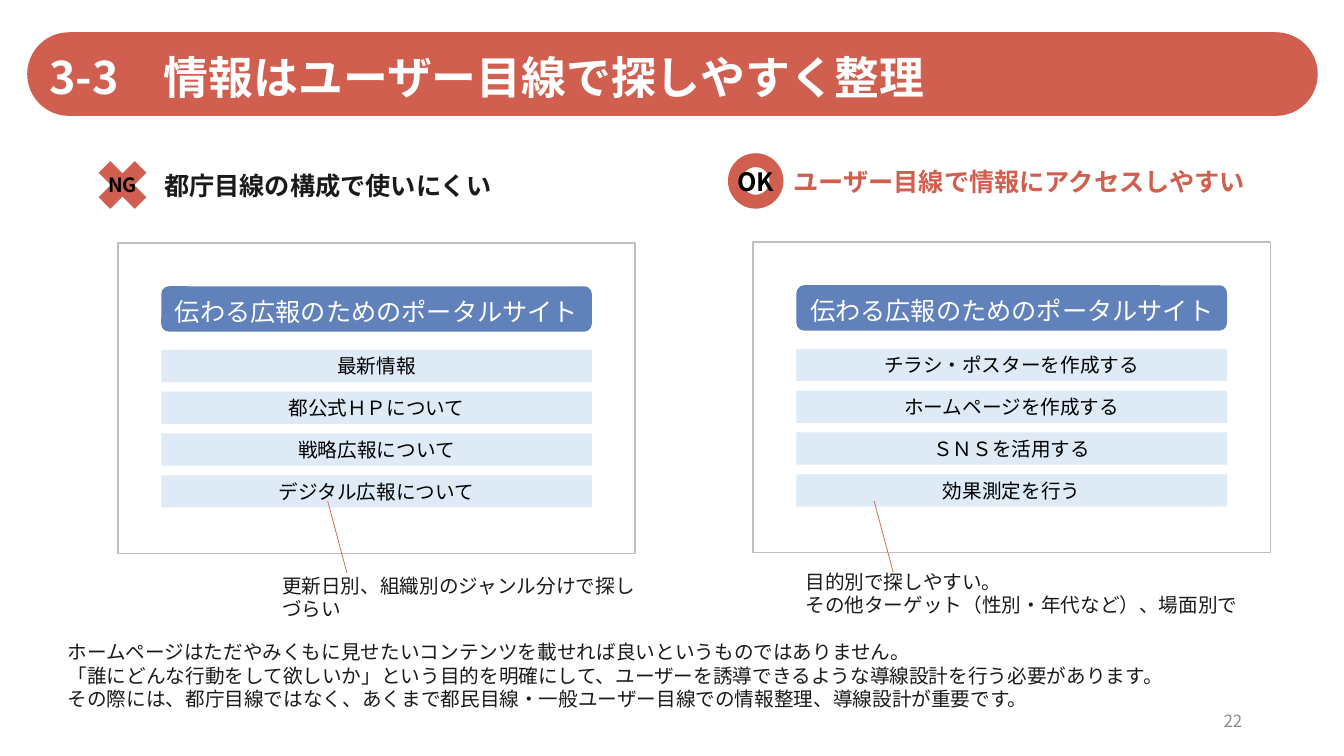
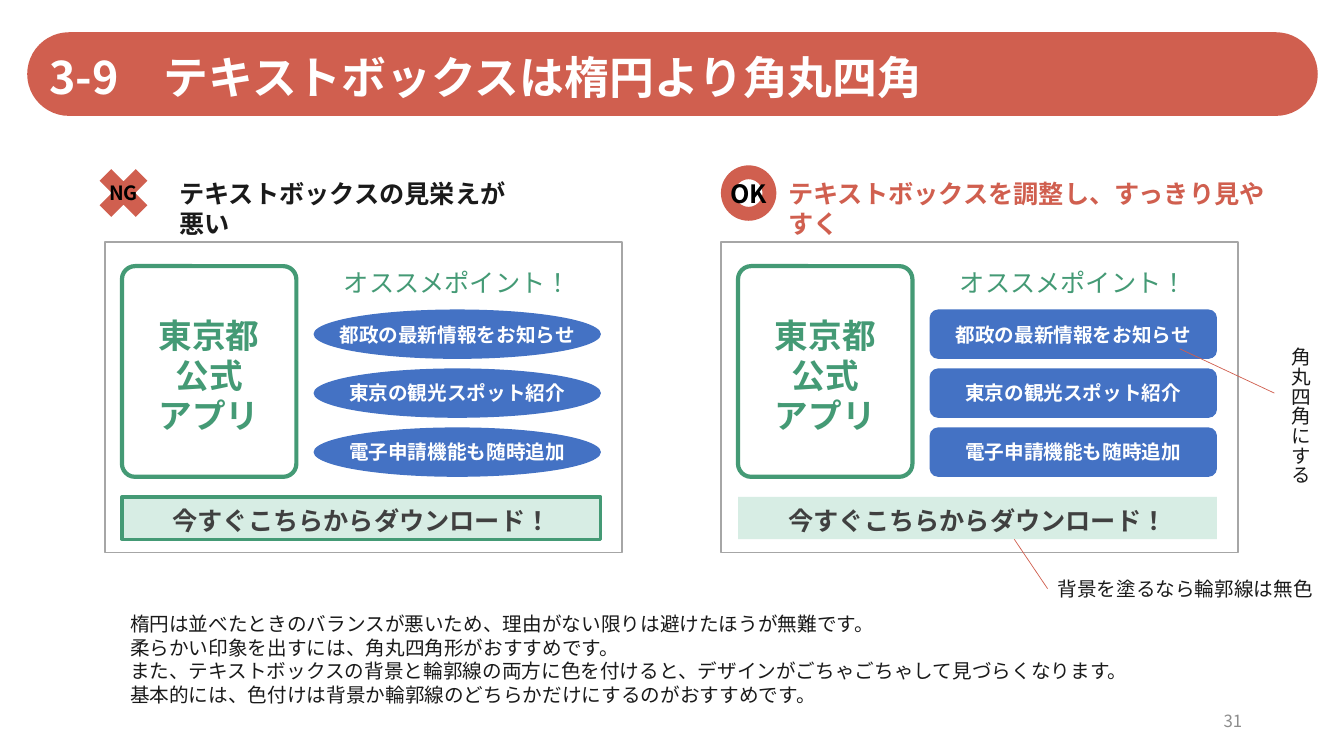
from lxml import etree
from pptx import Presentation
from pptx.dml.color import RGBColor
from pptx.enum.lang import MSO_LANGUAGE_ID
from pptx.enum.shapes import MSO_CONNECTOR, MSO_SHAPE
from pptx.enum.text import MSO_ANCHOR, MSO_AUTO_SIZE, PP_ALIGN
from pptx.oxml.ns import qn
from pptx.util import Inches, Pt

# Enum members
LEFT, CENTER, RIGHT = PP_ALIGN.LEFT, PP_ALIGN.CENTER, PP_ALIGN.RIGHT
TOP, MIDDLE = MSO_ANCHOR.TOP, MSO_ANCHOR.MIDDLE
RECT, ROUNDED, OVAL = MSO_SHAPE.RECTANGLE, MSO_SHAPE.ROUNDED_RECTANGLE, MSO_SHAPE.OVAL
CROSS, DONUT = MSO_SHAPE.MATH_MULTIPLY, MSO_SHAPE.DONUT
STRAIGHT = MSO_CONNECTOR.STRAIGHT
NO_AUTOFIT = MSO_AUTO_SIZE.NONE
JAPANESE = MSO_LANGUAGE_ID.JAPANESE

# Style
FONT = "Noto Sans CJK JP"
LINE_HEIGHT = 1.2
RED = RGBColor(0xD0, 0x5F, 0x4F)
INK = RGBColor(0x1A, 0x1A, 0x1A)
BLACK = RGBColor(0, 0, 0)
WHITE = RGBColor(0xFF, 0xFF, 0xFF)
DARK_GRAY = RGBColor(0x40, 0x40, 0x40)
PAGE_GRAY = RGBColor(0x8C, 0x8C, 0x8C)
MID_GRAY = RGBColor(0xA6, 0xA6, 0xA6)
LIGHT_GRAY = RGBColor(0xBF, 0xBF, 0xBF)
SITE_BLUE = RGBColor(0x61, 0x81, 0xBA)
MENU_BLUE = RGBColor(0xDE, 0xEB, 0xF7)
PILL_BLUE = RGBColor(0x44, 0x72, 0xC4)
GREEN = RGBColor(0x44, 0x9A, 0x75)
PALE_GREEN = RGBColor(0xD7, 0xED, 0xE4)


def write_text(frame, text, size=14, color=INK, bold=False, align=LEFT,
               anchor=TOP, wrap=True, margins=(0.1, 0.05, 0.1, 0.05)):
    """Fill a text frame, one paragraph per line of text."""
    frame.auto_size = NO_AUTOFIT
    frame.word_wrap = wrap
    frame.vertical_anchor = anchor
    (frame.margin_left, frame.margin_top,
     frame.margin_right, frame.margin_bottom) = map(Inches, margins)
    for number, line in enumerate(text.split("\n")):
        paragraph = frame.paragraphs[0] if number == 0 else frame.add_paragraph()
        properties = paragraph._p.get_or_add_pPr()
        properties.set("marL", "0")
        properties.set("indent", "0")
        etree.SubElement(properties, qn("a:buNone"))
        paragraph.alignment = align
        paragraph.line_spacing = Pt(size * LINE_HEIGHT)
        paragraph.space_before = paragraph.space_after = Pt(0)
        run = paragraph.add_run()
        run.text = line
        run.font.size = Pt(size)
        run.font.bold = bold
        run.font.color.rgb = color
        run.font.language_id = JAPANESE
        run.font.name = FONT
        east_asian = etree.SubElement(run._r.get_or_add_rPr(), qn("a:ea"))
        east_asian.set("typeface", FONT)


def place(shape, left, top, width, height):
    shape.left, shape.top = Inches(left), Inches(top)
    shape.width, shape.height = Inches(width), Inches(height)


class Deck:
    """Holds the presentation, its style and the current slide."""

    def __init__(self):
        self.presentation = Presentation()
        self.presentation.slide_width = Inches(13.33)
        self.presentation.slide_height = Inches(7.5)
        self.slide = None

    def new_slide(self, title, page):
        layout = self.presentation.slide_layouts[1]
        self.slide = self.presentation.slides.add_slide(layout)
        band_area = (0.27, 0.32, 12.8, 0.83)
        band = self.shape(ROUNDED, *band_area, fill=RED, corner=0.5)
        heading = self.slide.shapes.title
        heading.element.addprevious(band.element)
        place(heading, *band_area)
        write_text(heading.text_frame, title, size=32, color=WHITE, bold=True,
                   anchor=MIDDLE, margins=(0.22, 0.05, 0.1, 0))
        self.text(page, 9.42, 6.95, 3, 0.4, size=12, color=PAGE_GRAY,
                  align=RIGHT, anchor=MIDDLE)

    def body(self, text, left, top, width, height):
        placeholder = self.slide.placeholders[1]
        place(placeholder, left, top, width, height)
        write_text(placeholder.text_frame, text)

    def text(self, text, left, top, width, height, vertical=False, **style):
        box = self.slide.shapes.add_textbox(
            Inches(left), Inches(top), Inches(width), Inches(height))
        write_text(box.text_frame, text, **style)
        if vertical:
            box.text_frame._txBody.bodyPr.set("vert", "eaVert")

    def shape(self, kind, left, top, width, height, fill, line=None,
              line_width=1, corner=None):
        shape = self.slide.shapes.add_shape(
            kind, Inches(left), Inches(top), Inches(width), Inches(height))
        shape.shadow.inherit = False
        shape.fill.solid()
        shape.fill.fore_color.rgb = fill
        if line is None:
            shape.line.fill.background()
        else:
            shape.line.color.rgb = line
            shape.line.width = Pt(line_width)
        if corner is not None:
            shape.adjustments[0] = corner
        return shape

    def label(self, text, kind, area, fill, line=None, line_width=1,
              corner=None, drop=0, **style):
        """Shape with centred text, lowered by a top margin of drop."""
        shape = self.shape(kind, *area, fill, line, line_width, corner)
        write_text(shape.text_frame, text, align=CENTER, anchor=MIDDLE,
                   wrap=False, margins=(0, drop, 0, 0), **style)

    def ng_mark(self, left, top):
        self.label("NG", CROSS, (left, top, 0.69, 0.69), RED,
                   color=BLACK, bold=True)

    def ok_mark(self, left, top):
        self.label("OK", DONUT, (left, top, 0.55, 0.55), RED,
                   size=18, color=BLACK, bold=True)

    def verdict(self, text, left, top, width, color):
        self.text(text, left, top, width, 0.4, size=18, color=color, bold=True)

    def frame(self, left, top, line):
        self.shape(RECT, left, top, 5.13, 3.08, WHITE, line)

    def pointer(self, start, end):
        line = self.slide.shapes.add_connector(
            STRAIGHT, *map(Inches, start), *map(Inches, end))
        line.line.color.rgb = RED
        line.line.width = Pt(0.5)
        etree.SubElement(line.element.spPr, qn("a:effectLst"))

    def portal(self, left, top, menu):
        """Mock website: a site banner above evenly spaced menu rows."""
        self.frame(left, top, LIGHT_GRAY)
        inner = left + 0.43
        self.label("伝わる広報のためのポータルサイト", ROUNDED,
                   (inner, top + 0.43, 4.27, 0.45), SITE_BLUE,
                   drop=0.05, size=18, color=WHITE)
        for row, item in enumerate(menu):
            self.label(item, RECT, (inner, top + 1.06 + row * 0.415, 4.27, 0.32),
                       MENU_BLUE, color=BLACK)

    def flyer(self, left, pill, pill_corner=None, download_line=None):
        """Mock app flyer: app card, feature pills and download bar."""
        top = 2.4
        self.frame(left, top, MID_GRAY)
        self.label("東京都\n公式\nアプリ", ROUNDED,
                   (left + 0.17, top + 0.24, 1.73, 2.09), WHITE, GREEN, 3,
                   corner=0.075, drop=0.07, size=24, color=GREEN, bold=True)
        features = left + 2.07
        self.text("オススメポイント！", features, top + 0.16, 2.85, 0.49,
                  size=18, color=GREEN, align=CENTER, anchor=MIDDLE)
        for row, feature in enumerate(("都政の最新情報をお知らせ",
                                       "東京の観光スポット紹介",
                                       "電子申請機能も随時追加")):
            self.label(feature, pill,
                       (features, top + 0.67 + row * 0.585, 2.85, 0.49),
                       PILL_BLUE, corner=pill_corner, color=WHITE, bold=True)
        self.label("今すぐこちらからダウンロード！", RECT,
                   (left + 0.17, top + 2.53, 4.75, 0.42), PALE_GREEN,
                   download_line, 2.25, drop=0.04,
                   size=18, color=DARK_GRAY, bold=True)


def navigation_slide(deck):
    deck.new_slide("3-3　情報はユーザー目線で探しやすく整理", "22")
    # NG side
    deck.ng_mark(0.87, 1.49)
    deck.verdict("都庁目線の構成で使いにくい", 1.53, 1.64, 4.27, INK)
    deck.portal(1.17, 2.41, ("最新情報", "都公式ＨＰについて",
                             "戦略広報について", "デジタル広報について"))
    deck.text("更新日別、組織別のジャンル分けで探しづらい", 2.7, 5.64, 3.77, 0.57)
    deck.pointer((3.25, 4.97), (3.44, 5.68))
    # OK side
    deck.ok_mark(7.22, 1.52)
    deck.verdict("ユーザー目線で情報にアクセスしやすい", 7.77, 1.6, 4.74, RED)
    deck.portal(7.47, 2.4, ("チラシ・ポスターを作成する", "ホームページを作成する",
                            "ＳＮＳを活用する", "効果測定を行う"))
    deck.text("目的別で探しやすい。\nその他ターゲット（性別・年代など）、場面別で",
              7.89, 5.6, 4.53, 0.57)
    deck.pointer((8.67, 4.97), (8.86, 5.68))
    # Explanation
    deck.body("ホームページはただやみくもに見せたいコンテンツを載せれば良いというものではありません。\n"
              "「誰にどんな行動をして欲しいか」という目的を明確にして、"
              "ユーザーを誘導できるような導線設計を行う必要があります。\n"
              "その際には、都庁目線ではなく、"
              "あくまで都民目線・一般ユーザー目線での情報整理、導線設計が重要です。",
              0.57, 6.3, 12.08, 0.81)


def text_box_slide(deck):
    deck.new_slide("3-9　テキストボックスは楕円より角丸四角", "31")
    # NG side
    deck.ng_mark(0.88, 1.57)
    deck.verdict("テキストボックスの見栄えが悪い", 1.68, 1.72, 3.68, INK)
    deck.flyer(1.04, OVAL, download_line=GREEN)
    # OK side
    deck.ok_mark(7.15, 1.64)
    deck.verdict("テキストボックスを調整し、すっきり見やすく", 7.72, 1.72, 5.01, RED)
    deck.flyer(7.15, ROUNDED, pill_corner=0.17)
    deck.text("背景を塗るなら輪郭線は無色", 10.39, 5.67, 2.94, 0.34)
    deck.pointer((10.06, 5.35), (10.39, 5.84))
    deck.text("角丸四角にする", 12.63, 3.35, 0.44, 2.23, vertical=True)
    deck.pointer((11.7, 3.46), (12.64, 3.9))
    # Explanation
    deck.body("楕円は並べたときのバランスが悪いため、理由がない限りは避けたほうが無難です。\n"
              "柔らかい印象を出すには、角丸四角形がおすすめです。\n"
              "また、テキストボックスの背景と輪郭線の両方に色を付けると、"
              "デザインがごちゃごちゃして見づらくなります。\n"
              "基本的には、色付けは背景か輪郭線のどちらかだけにするのがおすすめです。",
              1.19, 6.02, 10.99, 1.04)


def main():
    deck = Deck()
    navigation_slide(deck)
    text_box_slide(deck)
    deck.presentation.save("out.pptx")


if __name__ == "__main__":
    main()
